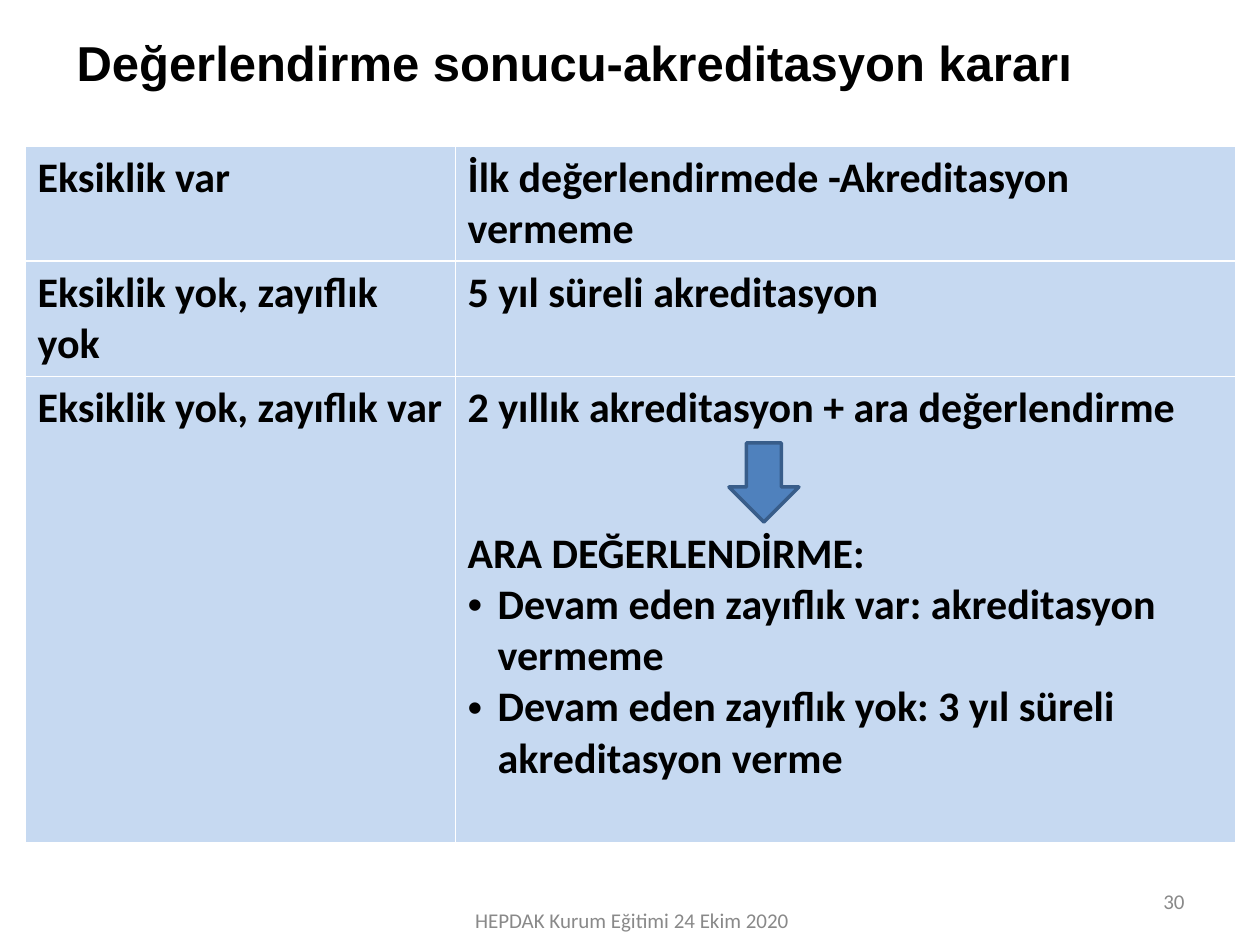
from dataclasses import dataclass

from lxml import etree
from pptx import Presentation
from pptx.dml import color
from pptx.enum import shapes, text
from pptx.oxml import ns
from pptx.util import Pt

PX = 914400 // 126


@dataclass(frozen=True)
class Theme:
    heading_font: str = "Arial"
    body_font: str = "Calibri"
    title_size: int = 28
    body_size: int = 24
    footer_size: int = 12
    ink: str = "000000"
    muted: str = "898989"
    cell: str = "C6D9F1"
    rule: str = "FFFFFF"
    arrow: str = "4F81BD"
    arrow_line: str = "385D8A"
    thin: float = 0.45
    thick: float = 1.47


THEME = Theme()
TITLE = "Değerlendirme sonucu-akreditasyon kararı"
COLUMNS = (430, 780)
ROW_HEIGHTS = (113, 113, 466)
ROWS = (
    ("Eksiklik var", ["İlk değerlendirmede -Akreditasyon vermeme"]),
    ("Eksiklik yok, zayıflık yok", ["5 yıl süreli akreditasyon"]),
    ("Eksiklik yok, zayıflık var", [
        "2 yıllık akreditasyon + ara değerlendirme",
        "ARA DEĞERLENDİRME:",
        "• Devam eden zayıflık var: akreditasyon vermeme",
        "• Devam eden zayıflık yok: 3 yıl süreli akreditasyon verme",
    ]),
)
ARROW_GAP = 54
BULLET_INDENT = 30


def rgb(value):
    return color.RGBColor.from_string(value)


def scaled(box):
    return [length * PX for length in box]


def apply(target, **values):
    for name, value in values.items():
        setattr(target, name, value)


def style_font(paragraph, name, size, ink, bold=False):
    apply(paragraph.font, name=name, size=Pt(size), bold=bold)
    paragraph.font.color.rgb = rgb(ink)


def add_bullet(paragraph):
    properties = paragraph._p.get_or_add_pPr()
    properties.set("marL", str(BULLET_INDENT * PX))
    properties.set("indent", str(-BULLET_INDENT * PX))
    font = etree.SubElement(properties, ns.qn("a:buFont"))
    font.set("typeface", THEME.heading_font)
    etree.SubElement(properties, ns.qn("a:buChar")).set("char", "•")


def add_borders(cell, top, bottom):
    properties = cell._tc.get_or_add_tcPr()
    widths = {"L": THEME.thin, "R": THEME.thin, "T": top, "B": bottom}
    for side, width in widths.items():
        line = etree.SubElement(properties, ns.qn(f"a:ln{side}"))
        line.set("w", str(Pt(width)))
        fill = etree.SubElement(line, ns.qn("a:solidFill"))
        etree.SubElement(fill, ns.qn("a:srgbClr")).set("val", THEME.rule)


def fill_cell(cell, lines, top, bottom):
    add_borders(cell, top, bottom)
    cell.fill.solid()
    cell.fill.fore_color.rgb = rgb(THEME.cell)
    cell.margin_right = 8 * PX
    frame = cell.text_frame
    for index, line in enumerate(lines):
        paragraph = frame.add_paragraph() if index else frame.paragraphs[0]
        paragraph.text = line.removeprefix("• ")
        if line.startswith("• "):
            add_bullet(paragraph)
        if index == 1:
            paragraph.space_before = Pt(ARROW_GAP)
        style_font(paragraph, THEME.body_font, THEME.body_size, THEME.ink, True)


def place_title(slide, box):
    title = slide.shapes.title
    for name, value in zip(("left", "top", "width", "height"), scaled(box)):
        setattr(title, name, value)
    title.text = TITLE
    apply(title.text_frame, word_wrap=True, vertical_anchor=text.MSO_ANCHOR.TOP,
          auto_size=text.MSO_AUTO_SIZE.NONE)
    paragraph = title.text_frame.paragraphs[0]
    paragraph.alignment = text.PP_ALIGN.LEFT
    style_font(paragraph, THEME.heading_font, THEME.title_size, THEME.ink, True)


def add_arrow(slide, box):
    arrow = slide.shapes.add_shape(shapes.MSO_SHAPE.DOWN_ARROW, *scaled(box))
    arrow.shadow.inherit = False
    arrow.fill.solid()
    arrow.fill.fore_color.rgb = rgb(THEME.arrow)
    arrow.line.color.rgb = rgb(THEME.arrow_line)
    arrow.line.width = Pt(2)


def add_decisions(slide, box):
    left, top, width, height = box
    table = slide.shapes.add_table(len(ROWS), len(COLUMNS), *scaled(box)).table
    apply(table, first_row=False, horz_banding=False)
    for column, column_width in zip(table.columns, COLUMNS):
        column.width = column_width * PX
    for index, (condition, decision) in enumerate(ROWS):
        table.rows[index].height = ROW_HEIGHTS[index] * PX
        above = THEME.thick if index == 1 else THEME.thin
        below = THEME.thick if index == 0 else THEME.thin
        for column, lines in enumerate(([condition], decision)):
            fill_cell(table.cell(index, column), lines, above, below)
    add_arrow(slide, (left + 704, top + 297, 70, 79))


def add_footer_text(slide, box, wording, alignment):
    frame = slide.shapes.add_textbox(*scaled(box)).text_frame
    apply(frame, word_wrap=True, vertical_anchor=text.MSO_ANCHOR.MIDDLE)
    paragraph = frame.paragraphs[0]
    apply(paragraph, text=wording, alignment=alignment)
    style_font(paragraph, THEME.body_font, THEME.footer_size, THEME.muted)


def add_footer(slide, box):
    left, top, width, height = box
    add_footer_text(slide, (left, top + 19, 400, 50),
                    "HEPDAK Kurum Eğitimi 24 Ekim 2020", text.PP_ALIGN.CENTER)
    add_footer_text(slide, (left + width - 294, top, 294, 50),
                    "30", text.PP_ALIGN.RIGHT)


def main():
    presentation = Presentation()
    apply(presentation, slide_width=1260 * PX, slide_height=945 * PX)
    slide = presentation.slides.add_slide(presentation.slide_layouts[5])
    place_title(slide, (64, 26, 1052, 72))
    add_decisions(slide, (25, 146, sum(COLUMNS), sum(ROW_HEIGHTS)))
    add_footer(slide, (432, 876, 765, 69))
    presentation.save("out.pptx")


if __name__ == "__main__":
    main()
